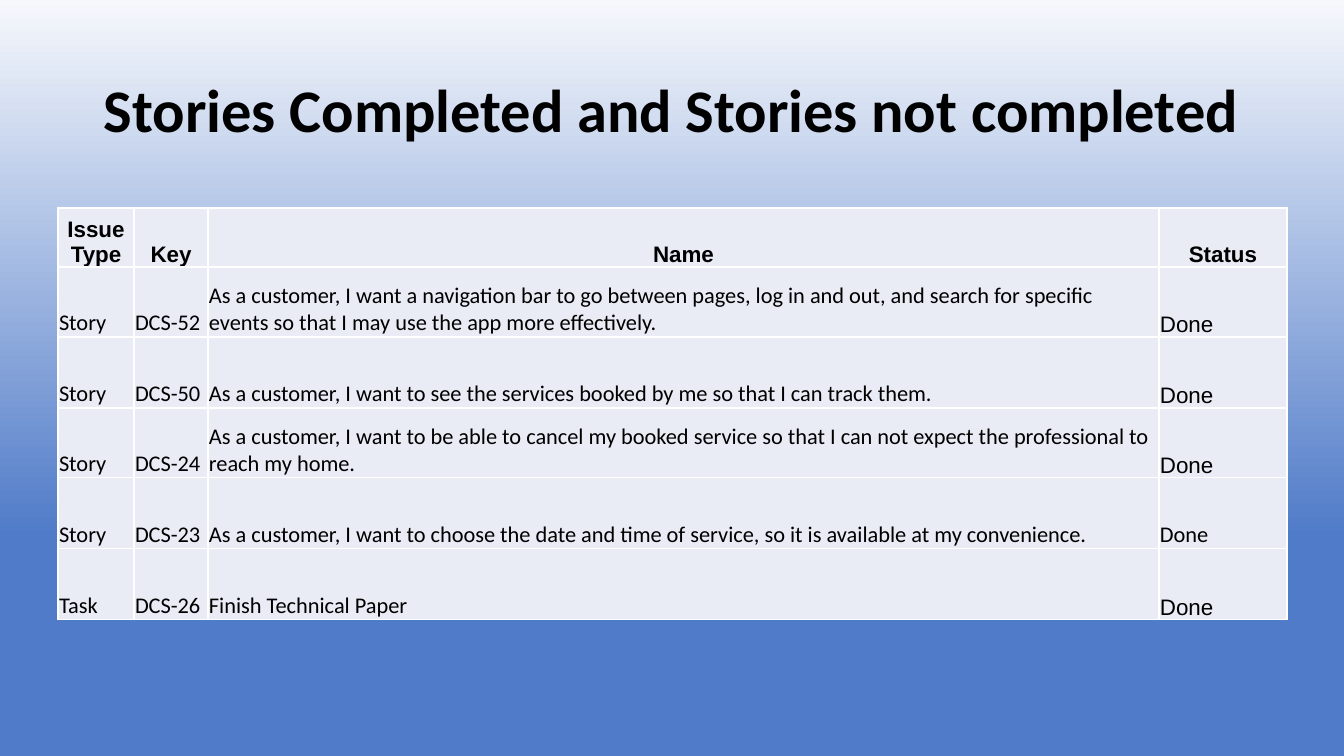
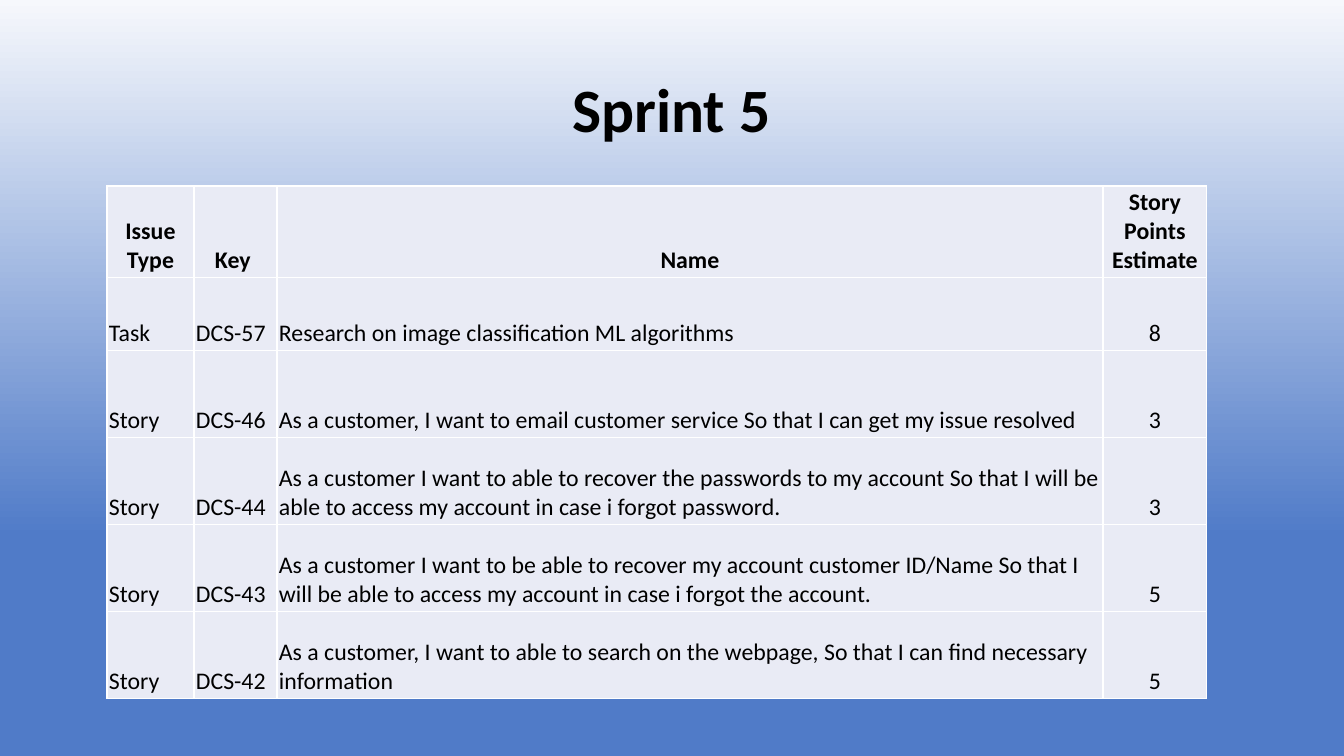
from lxml.etree import SubElement
from pptx import Presentation
from pptx.dml.color import RGBColor
from pptx.enum.text import MSO_ANCHOR as Anchor, PP_ALIGN as Align
from pptx.oxml.ns import qn
from pptx.util import Emu, Pt

# Content
SLIDES = [
    {
        "title": "Stories Completed and Stories not completed",
        "title_size": 43.2,
        "left": 58, "top": 208,
        "columns": [76, 74, 951, 128],
        "heights": [59, 70, 71, 70, 71, 71],
        "margins": (1, 1, 1, 0),
        "size": 16, "header_font": "Arial", "last_align": Align.LEFT,
        "arial_cells": {(1, 3), (2, 3), (3, 3), (5, 3)},
        "rows": [
            ("Issue Type", "Key", "Name", "Status"),
            ("Story", "DCS-52", "As a customer, I want a navigation bar to go between pages, "
             "log in and out, and search for specific events so that I may use the app "
             "more effectively.", "Done"),
            ("Story", "DCS-50", "As a customer, I want to see the services booked by me "
             "so that I can track them.", "Done"),
            ("Story", "DCS-24", "As a customer, I want to be able to cancel my booked service "
             "so that I can not expect the professional to reach my home.", "Done"),
            ("Story", "DCS-23", "As a customer, I want to choose the date and time of service, "
             "so it is available at my convenience.", "Done"),
            ("Task", "DCS-26", "Finish Technical Paper", "Done"),
        ],
    },
    {
        "title": "Sprint 5",
        "title_size": 44,
        "left": 107, "top": 186,
        "columns": [87, 83, 826, 104],
        "heights": [90, 73, 87, 87, 87, 87],
        "margins": (2, 2, 2, 2),
        "size": 17, "header_font": "Calibri", "last_align": Align.CENTER,
        "arial_cells": set(),
        "rows": [
            ("Issue Type", "Key ", "Name", "Story Points Estimate"),
            ("Task", "DCS-57", "Research on image classification ML algorithms", "8"),
            ("Story", "DCS-46", "As a customer, I want to email customer service "
             "So that I can get my issue resolved", "3"),
            ("Story", "DCS-44", "As a customer I want to able to recover the passwords to my "
             "account So that I will be able to access my account in case i forgot password.",
             "3"),
            ("Story", "DCS-43", "As a customer I want to be able to recover my account customer "
             "ID/Name So that I will be able to access my account in case i forgot the account.",
             "5"),
            ("Story", "DCS-42", "As a customer, I want to able to search on the webpage, "
             "So that I can find necessary information", "5"),
        ],
    },
]

# Shared look
WIDTH, HEIGHT = 1344, 756
TITLE_BOX = (92, 40, 1159, 146)
INK, CELL, BORDER = "000000", "E9EBF5", "FFFFFF"
GRADIENT = [(0, "F6F8FC"), (71, "507BC8"), (100, "507BC8")]


def px(length):
    return Emu(round(length * 914400 / 100.8))


def color(value):
    return RGBColor.from_string(value)


def style_text(paragraph, font, size, bold, align):
    paragraph.alignment = align
    for run in paragraph.runs:
        run.font.name = font
        run.font.size = Pt(size)
        run.font.bold = bold
        run.font.color.rgb = color(INK)


def paint_background(master):
    fill = master.background.fill
    fill.gradient()
    fill.gradient_angle = 270
    stops = next(master.element.iter(qn("a:gsLst")))
    for stop in list(stops):
        stops.remove(stop)
    for percent, value in GRADIENT:
        stop = SubElement(stops, qn("a:gs"), pos=str(percent * 1000))
        SubElement(stop, qn("a:srgbClr"), val=value)


def draw_borders(cell):
    properties = cell._tc.get_or_add_tcPr()
    for side in ("lnL", "lnR", "lnT", "lnB"):
        line = SubElement(properties, qn(f"a:{side}"), w=str(Pt(1)))
        SubElement(SubElement(line, qn("a:solidFill")), qn("a:srgbClr"), val=BORDER)


def add_title(slide, content):
    title = slide.shapes.title
    title.text_frame.text = content["title"]
    title.text_frame.vertical_anchor = Anchor.MIDDLE
    heading = title.text_frame.paragraphs[0]
    heading.line_spacing = 0.9
    style_text(heading, "Calibri", content["title_size"], True, Align.CENTER)


def add_issues(slide, content):
    rows, columns, heights = content["rows"], content["columns"], content["heights"]
    box = (content["left"], content["top"], sum(columns), sum(heights))
    issues = slide.shapes.add_table(len(rows), len(columns), *map(px, box)).table
    issues.first_row = issues.horz_banding = False
    for column, width in zip(issues.columns, columns):
        column.width = px(width)
    for r, values in enumerate(rows):
        issues.rows[r].height = px(heights[r])
        for c, value in enumerate(values):
            cell = issues.cell(r, c)
            draw_borders(cell)
            cell.fill.solid()
            cell.fill.fore_color.rgb = color(CELL)
            (cell.margin_left, cell.margin_top,
             cell.margin_right, cell.margin_bottom) = map(px, content["margins"])
            cell.vertical_anchor = Anchor.BOTTOM
            cell.text_frame.text = value
            header = r == 0
            if header:
                font, align = content["header_font"], Align.CENTER
            else:
                font = "Arial" if (r, c) in content["arial_cells"] else "Calibri"
                align = content["last_align"] if c == len(columns) - 1 else Align.LEFT
            style_text(cell.text_frame.paragraphs[0], font, content["size"], header, align)


def main():
    deck = Presentation()
    deck.slide_width, deck.slide_height = px(WIDTH), px(HEIGHT)
    paint_background(deck.slide_master)

    # Title position, inherited by every slide
    layout = deck.slide_layouts.get_by_name("Title Only")
    anchor = layout.placeholders[0]
    anchor.left, anchor.top, anchor.width, anchor.height = map(px, TITLE_BOX)

    for content in SLIDES:
        slide = deck.slides.add_slide(layout)
        add_title(slide, content)
        add_issues(slide, content)
    deck.save("out.pptx")


if __name__ == "__main__":
    main()
